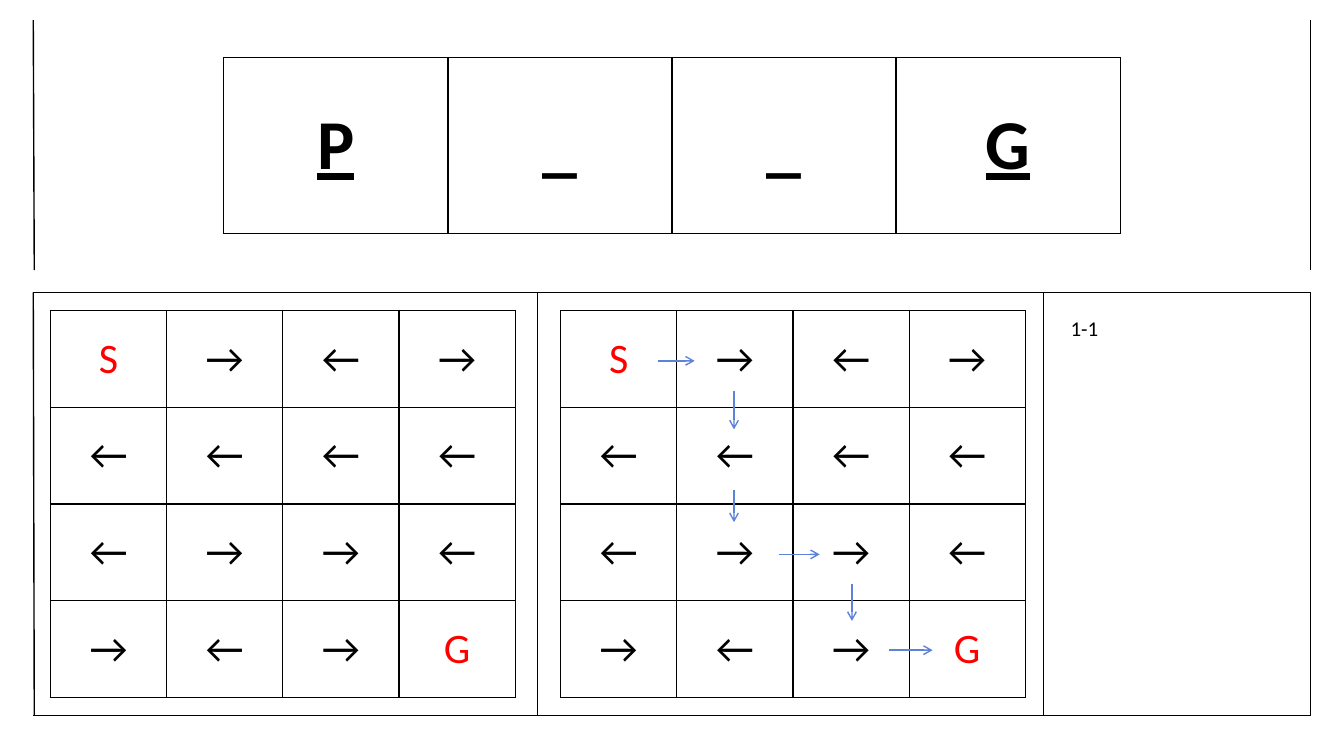
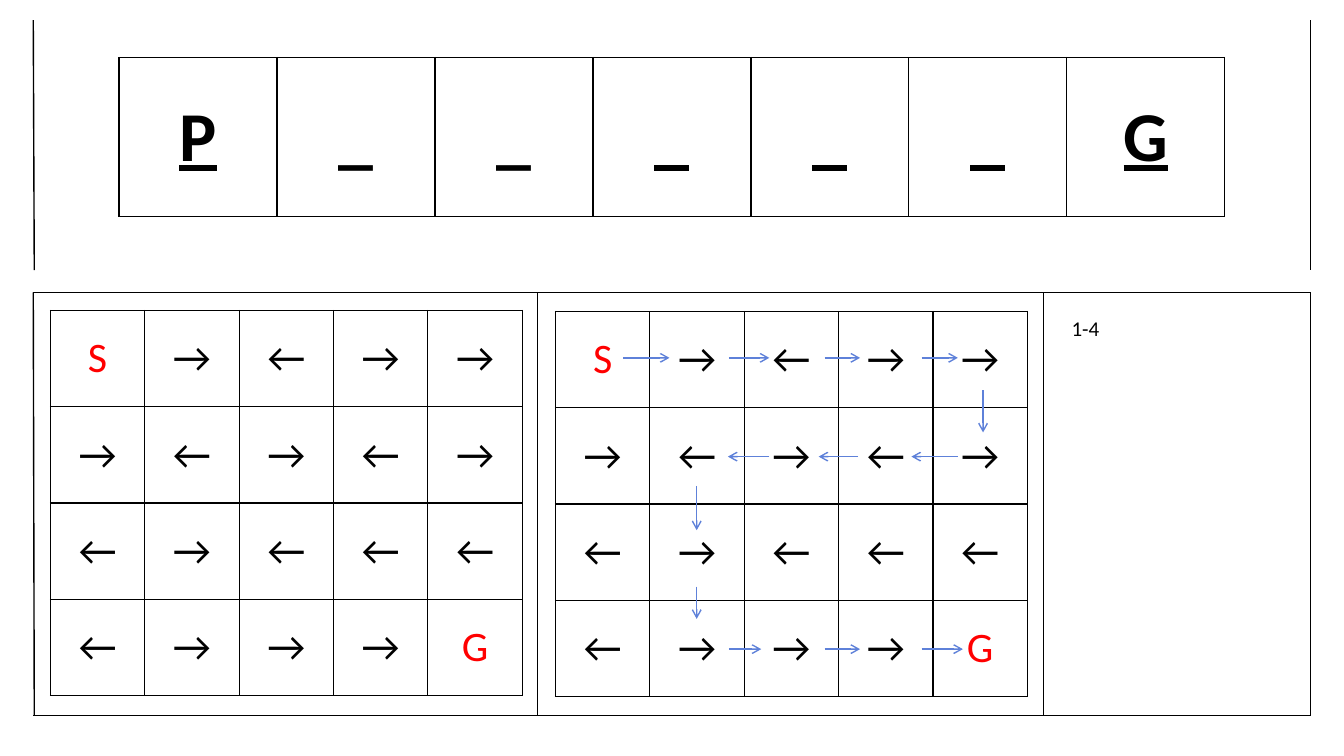
from pptx import Presentation
from pptx.dml.color import RGBColor
from pptx.enum.shapes import MSO_CONNECTOR
from pptx.enum.text import MSO_ANCHOR, MSO_AUTO_SIZE, PP_ALIGN
from pptx.oxml import parse_xml
from pptx.oxml.ns import nsdecls
from pptx.util import Inches, Pt

BLACK, WHITE, RED, BLUE = "000000", "FFFFFF", "FF0000", "5E81D9"
FONT = "Calibri"
FRAME_LEFT, FRAME_RIGHT = 0.33, 13
HEADER_TOP, HEADER_BOTTOM = 0.2, 2.68
PANEL_TOP, PANEL_BOTTOM = 2.9, 7.1
DIVIDERS = (5.33, 10.35)

PUZZLES = [
    {
        "label": "1-1",
        "word": "P__G",
        "underlined": {0, 3},
        "word_box": (2.22, 0.57, 8.89, 1.75),
        "grid": ["S→←→", "←←←←", "←→→←", "→←→G"],
        "puzzle_box": (0.5, 3.08, 4.61, 3.84),
        "solution_box": (5.56, 3.08, 4.61, 3.84),
        "label_left": 10.52,
        "route": [
            (0.97, 0.5, 0.36, 0), (1.72, 0.8, 0, 0.38), (1.72, 1.78, 0, 0.32),
            (2.17, 2.42, 0.4, 0), (2.89, 2.71, 0, 0.37), (3.26, 3.37, 0.43, 0),
        ],
    },
    {
        "label": "1-4",
        "word": "P_____G",
        "underlined": {0, 3, 4, 5, 6},
        "word_box": (1.18, 0.57, 10.97, 1.58),
        "grid": ["S→←→→", "→←→←→", "←→←←←", "←→→→G"],
        "puzzle_box": (0.5, 3.08, 4.68, 3.82),
        "solution_box": (5.51, 3.09, 4.68, 3.82),
        "label_left": 10.53,
        "route": [
            (0.67, 0.46, 0.46, 0), (1.72, 0.46, 0.4, 0), (2.67, 0.46, 0.35, 0),
            (3.63, 0.46, 0.36, 0), (4.24, 0.78, 0, 0.42), (3.99, 1.44, -0.46, 0),
            (3, 1.44, -0.39, 0), (2.12, 1.44, -0.41, 0), (1.4, 1.73, 0, 0.44),
            (1.4, 2.73, 0, 0.32), (1.72, 3.35, 0.32, 0), (2.67, 3.35, 0.35, 0),
            (3.63, 3.35, 0.41, 0),
        ],
    },
]


def rgb(value):
    return RGBColor.from_string(value)


def add_run(paragraph, text, size, color=BLACK, bold=False, underline=False):
    run = paragraph.add_run()
    run.text = text
    font = run.font
    font.name, font.size, font.bold, font.underline = FONT, Pt(size), bold, underline
    font.color.rgb = rgb(color)
    run._r.get_or_add_rPr().append(
        parse_xml(f'<a:ea {nsdecls("a")} typeface="{FONT}"/>'))


def draw_line(slide, x1, y1, x2, y2, color=BLACK, arrow=False):
    line = slide.shapes.add_connector(
        MSO_CONNECTOR.STRAIGHT, Inches(x1), Inches(y1), Inches(x2), Inches(y2))
    line.line.color.rgb = rgb(color)
    line.line.width = Pt(1)
    if arrow:
        line.line._get_or_add_ln().append(
            parse_xml(f'<a:tailEnd {nsdecls("a")} type="arrow"/>'))
    line._element.spPr.append(parse_xml(f'<a:effectLst {nsdecls("a")}/>'))


def style_cell(cell):
    cell.fill.solid()
    cell.fill.fore_color.rgb = rgb(WHITE)
    cell.vertical_anchor = MSO_ANCHOR.MIDDLE
    properties = cell._tc.get_or_add_tcPr()
    for position, side in enumerate("LRTB"):
        properties.insert(position, parse_xml(
            f'<a:ln{side} {nsdecls("a")} w="{Pt(1)}"><a:solidFill>'
            f'<a:srgbClr val="{BLACK}"/></a:solidFill></a:ln{side}>'))


def draw_letters(slide, box, rows, write):
    left, top, width, height = box
    table = slide.shapes.add_table(
        len(rows), len(rows[0]), Inches(left), Inches(top),
        Inches(width), Inches(height)).table
    table.first_row = table.horz_banding = False
    for row in table.rows:
        row.height = Inches(height / len(rows))
    for column in table.columns:
        column.width = Inches(width / len(rows[0]))
    for r, letters in enumerate(rows):
        for c, letter in enumerate(letters):
            cell = table.cell(r, c)
            style_cell(cell)
            paragraph = cell.text_frame.paragraphs[0]
            paragraph.alignment = PP_ALIGN.CENTER
            write(paragraph, letter, c)


def draw_frame(slide):
    for top, bottom in ((HEADER_TOP, HEADER_BOTTOM), (PANEL_TOP, PANEL_BOTTOM)):
        draw_line(slide, FRAME_LEFT, top, FRAME_LEFT + 0.01, bottom)
        draw_line(slide, FRAME_RIGHT, top, FRAME_RIGHT, bottom)
    for y in (PANEL_TOP, PANEL_BOTTOM):
        draw_line(slide, FRAME_LEFT, y, FRAME_RIGHT, y)
    for x in DIVIDERS:
        draw_line(slide, x, PANEL_TOP, x, PANEL_BOTTOM)


def draw_word(slide, box, word, underlined):
    def write(paragraph, letter, column):
        add_run(paragraph, letter, 50, bold=True, underline=column in underlined)

    draw_letters(slide, box, [word], write)


def draw_grid(slide, box, rows):
    def write(paragraph, letter, column):
        add_run(paragraph, letter, 30, RED if letter in "SG" else BLACK)

    draw_letters(slide, box, rows, write)


def draw_route(slide, box, steps):
    left, top = box[:2]
    for x, y, dx, dy in steps:
        draw_line(slide, left + x, top + y, left + x + dx, top + y + dy, BLUE, True)


def draw_label(slide, left, text):
    label = slide.shapes.add_textbox(
        Inches(left), Inches(3.08), Inches(2.36), Inches(0.34))
    frame = label.text_frame
    frame.word_wrap = True
    frame.auto_size = MSO_AUTO_SIZE.SHAPE_TO_FIT_TEXT
    add_run(frame.paragraphs[0], text, 15)


def draw_puzzle(slide, puzzle):
    draw_frame(slide)
    draw_word(slide, puzzle["word_box"], puzzle["word"], puzzle["underlined"])
    draw_grid(slide, puzzle["puzzle_box"], puzzle["grid"])
    draw_label(slide, puzzle["label_left"], puzzle["label"])
    draw_grid(slide, puzzle["solution_box"], puzzle["grid"])
    draw_route(slide, puzzle["solution_box"], puzzle["route"])


def main():
    deck = Presentation()
    deck.slide_width, deck.slide_height = Inches(13.33), Inches(7.5)
    for puzzle in PUZZLES:
        draw_puzzle(deck.slides.add_slide(deck.slide_layouts[6]), puzzle)
    deck.save("out.pptx")


if __name__ == "__main__":
    main()
